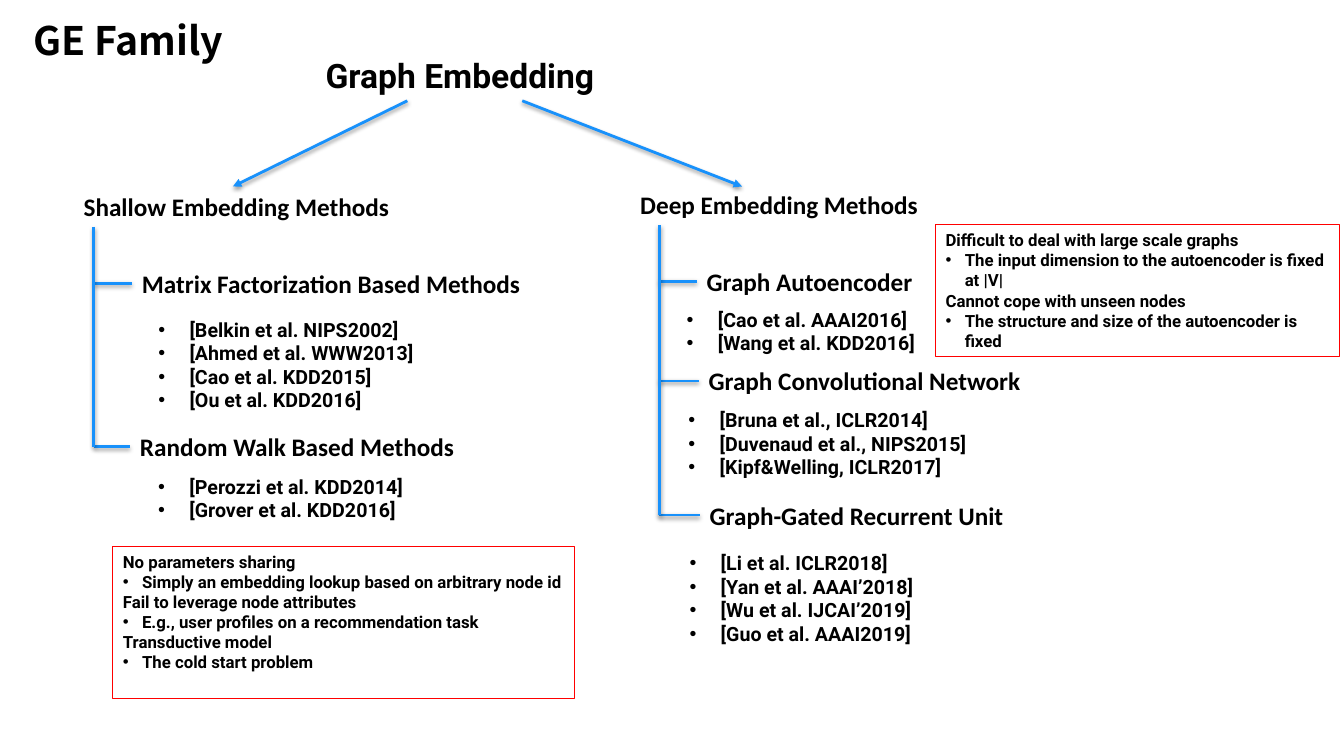
from dataclasses import dataclass
from lxml.etree import SubElement
from pptx import Presentation
from pptx.dml.color import RGBColor
from pptx.enum.shapes import MSO_CONNECTOR, MSO_SHAPE
from pptx.enum.text import MSO_ANCHOR, MSO_AUTO_SIZE, PP_ALIGN
from pptx.oxml.ns import qn
from pptx.util import Inches, Pt


@dataclass(frozen=True)
class Theme:
    ink: str = "000000"
    blue: str = "1891FB"
    red: str = "FF0000"
    plain: str = "Roboto"
    head: str = "Calibri"
    title: str = "Noto Sans CJK SC"
    title_size: int = 28
    root_size: int = 24
    head_size: int = 18
    list_size: int = 14
    note_size: int = 12


THEME = Theme()
BULLET = "• "
LEFT_SIDE = 1

SHALLOW = [
    ("Matrix Factorization Based Methods", (1.31, 2.61), (1.47, 3.1, 3.88, 1.35),
     ["[Belkin et al. NIPS2002]", "[Ahmed et al. WWW2013]",
      "[Cao et al. KDD2015]", "[Ou et al. KDD2016]"]),
    ("Random Walk Based Methods", (1.29, 4.23), (1.47, 4.66, 3.88, 0.88),
     ["[Perozzi et al. KDD2014]", "[Grover et al. KDD2016]"]),
]
DEEP = [
    ("Graph Autoencoder", (6.91, 2.59), (6.71, 3, 3.88, 0.88),
     ["[Cao et al. AAAI2016]", "[Wang et al. KDD2016]"]),
    ("Graph Convolutional Network", (6.93, 3.58), (6.73, 4, 3.88, 1.11),
     ["[Bruna et al., ICLR2014]", "[Duvenaud et al., NIPS2015]",
      "[Kipf&Welling, ICLR2017]"]),
    ("Graph-Gated Recurrent Unit", (6.94, 4.91), (6.74, 5.42, 3.88, 1.58),
     ["[Li et al. ICLR2018]", "[Yan et al. AAAI’2018]",
      "[Wu et al. IJCAI’2019]", "[Guo et al. AAAI2019]"]),
]
LIMITS = [
    ((1.12, 5.42, 4.58, 1.51),
     ["No parameters sharing",
      "• Simply an embedding lookup based on arbitrary node id",
      "Fail to leverage node attributes",
      "• E.g., user profiles on a recommendation task",
      "Transductive model",
      "• The cold start problem"]),
    ((9.28, 2.23, 4.01, 1.31),
     ["Difficult to deal with large scale graphs",
      "• The input dimension to the autoencoder is fixed at |V|",
      "Cannot cope with unseen nodes",
      "• The structure and size of the autoencoder is fixed"]),
]


def paint(name):
    return RGBColor.from_string(name)


def place(shape, area):
    shape.left, shape.top, shape.width, shape.height = map(Inches, area)


def indent(para, depth):
    props = para._p.get_or_add_pPr()
    props.set("marL", str(Inches(depth)))
    props.set("indent", str(-Inches(depth)))
    SubElement(props, qn("a:buFont"), typeface="Arial")
    SubElement(props, qn("a:buChar"), char=BULLET.strip())


def write(shape, lines, font=THEME.plain, size=THEME.list_size,
          depth=0.31, anchor=MSO_ANCHOR.TOP, inset=(0.1, 0.05)):
    frame = shape.text_frame
    frame.word_wrap = True
    frame.auto_size = MSO_AUTO_SIZE.NONE
    frame.vertical_anchor = anchor
    frame.margin_left = frame.margin_right = Inches(inset[0])
    frame.margin_top = frame.margin_bottom = Inches(inset[1])
    for index, line in enumerate(lines):
        para = frame.add_paragraph() if index else frame.paragraphs[0]
        if line.startswith(BULLET):
            indent(para, depth)
        para.alignment = PP_ALIGN.LEFT
        para.space_before = Pt(0)
        run = para.add_run()
        run.text = line.removeprefix(BULLET)
        run.font.name = font
        run.font.size = Pt(size)
        run.font.bold = True
        run.font.color.rgb = paint(THEME.ink)


def add_text(slide, area, lines, holder=None, **style):
    shape = holder or slide.shapes.add_textbox(0, 0, 0, 0)
    place(shape, area)
    write(shape, lines, **style)
    return shape


def add_head(slide, area, text, holder=None):
    return add_text(slide, area, [text], holder,
                    font=THEME.head, size=THEME.head_size)


def add_line(slide, start, end, arrow=False):
    line = slide.shapes.add_connector(
        MSO_CONNECTOR.STRAIGHT, *map(Inches, (*start, *end)))
    line.line.color.rgb = paint(THEME.blue)
    line.line.width = Pt(2)
    if arrow:
        SubElement(line.line._get_or_add_ln(), qn("a:tailEnd"), type="triangle")
    effects = SubElement(line._element.spPr, qn("a:effectLst"))
    shadow = SubElement(effects, qn("a:outerShdw"), blurRad=str(Pt(3.1)),
                        dist=str(Pt(1.6)), dir="5400000", rotWithShape="0")
    shade = SubElement(shadow, qn("a:srgbClr"), val=THEME.ink)
    SubElement(shade, qn("a:alpha"), val="38000")
    return line


def add_tree(slide, name, spot, trunk, groups, head_holder, list_holder):
    add_head(slide, (*spot, 3.45, 0.4), name, head_holder)
    for index, (label, corner, area, papers) in enumerate(groups):
        head = add_head(slide, (*corner, 4.2, 0.4), label)
        middle = corner[1] + 0.2
        branch = add_line(slide, (trunk, middle), (corner[0], middle))
        branch.end_connect(head, LEFT_SIDE)
        add_text(slide, area, [BULLET + paper for paper in papers],
                 None if index else list_holder)
    add_line(slide, (trunk, spot[1] + 0.4), (trunk, middle))


def add_note(slide, area, lines):
    box = slide.shapes.add_shape(MSO_SHAPE.RECTANGLE, *map(Inches, area))
    box.shadow.inherit = False
    box.fill.background()
    box.line.color.rgb = paint(THEME.red)
    box.line.width = Pt(0.75)
    write(box, lines, size=THEME.note_size, depth=0.19)


def main():
    deck = Presentation()
    deck.slide_width = Inches(13.33)
    deck.slide_height = Inches(7.5)
    slide = deck.slides.add_slide(deck.slide_layouts.get_by_name("Comparison"))
    title, *holders = slide.placeholders
    add_text(slide, (0.2, 0.04, 13.13, 0.71), ["GE Family"], title,
             font=THEME.title, size=THEME.title_size,
             anchor=MSO_ANCHOR.MIDDLE, inset=(0.13, 0.07))
    add_text(slide, (3.13, 0.5, 5.28, 0.5), ["Graph Embedding"],
             size=THEME.root_size)
    add_line(slide, (4.04, 1), (2.31, 1.85), arrow=True)
    add_line(slide, (5.18, 1), (7.36, 1.85), arrow=True)
    add_tree(slide, "Shallow Embedding Methods", (0.73, 1.85), 0.93,
             SHALLOW, *holders[:2])
    add_tree(slide, "Deep Embedding Methods", (6.25, 1.83), 6.54,
             DEEP, *holders[2:])
    for area, lines in LIMITS:
        add_note(slide, area, lines)
    deck.save("out.pptx")


if __name__ == "__main__":
    main()
